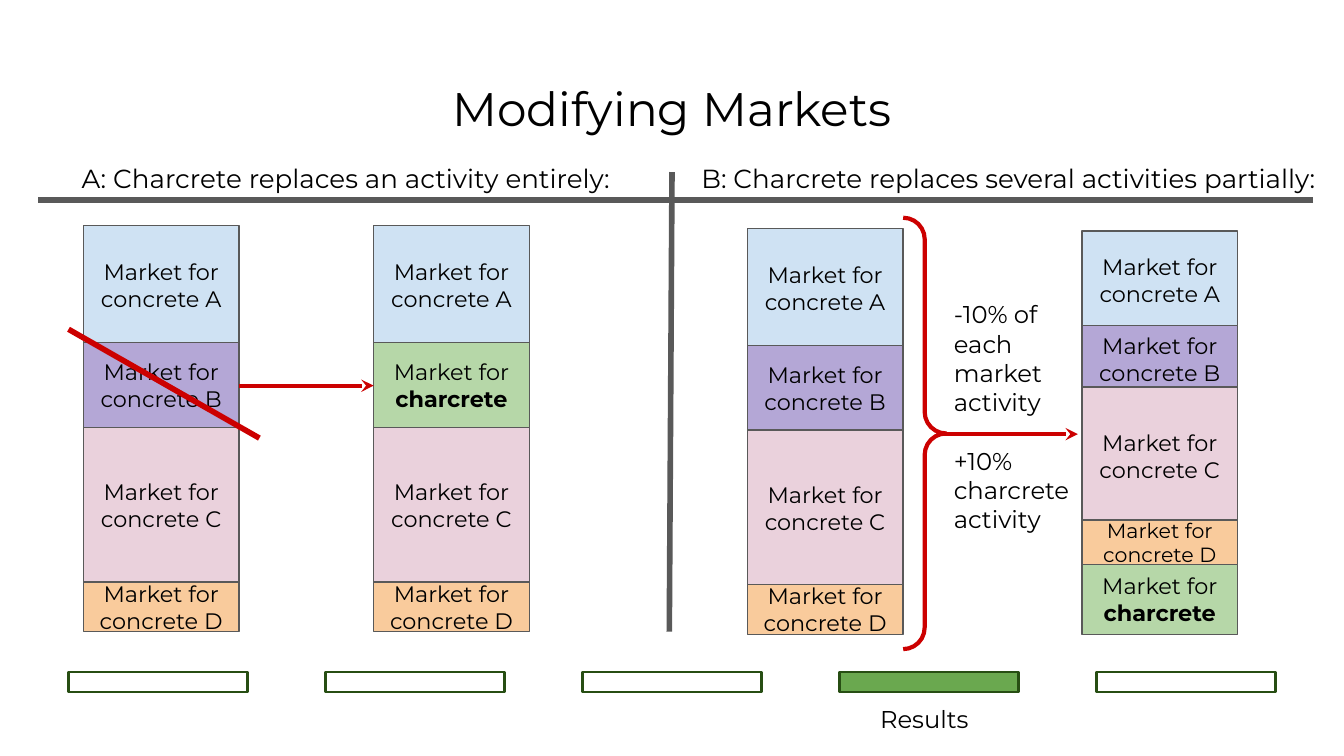
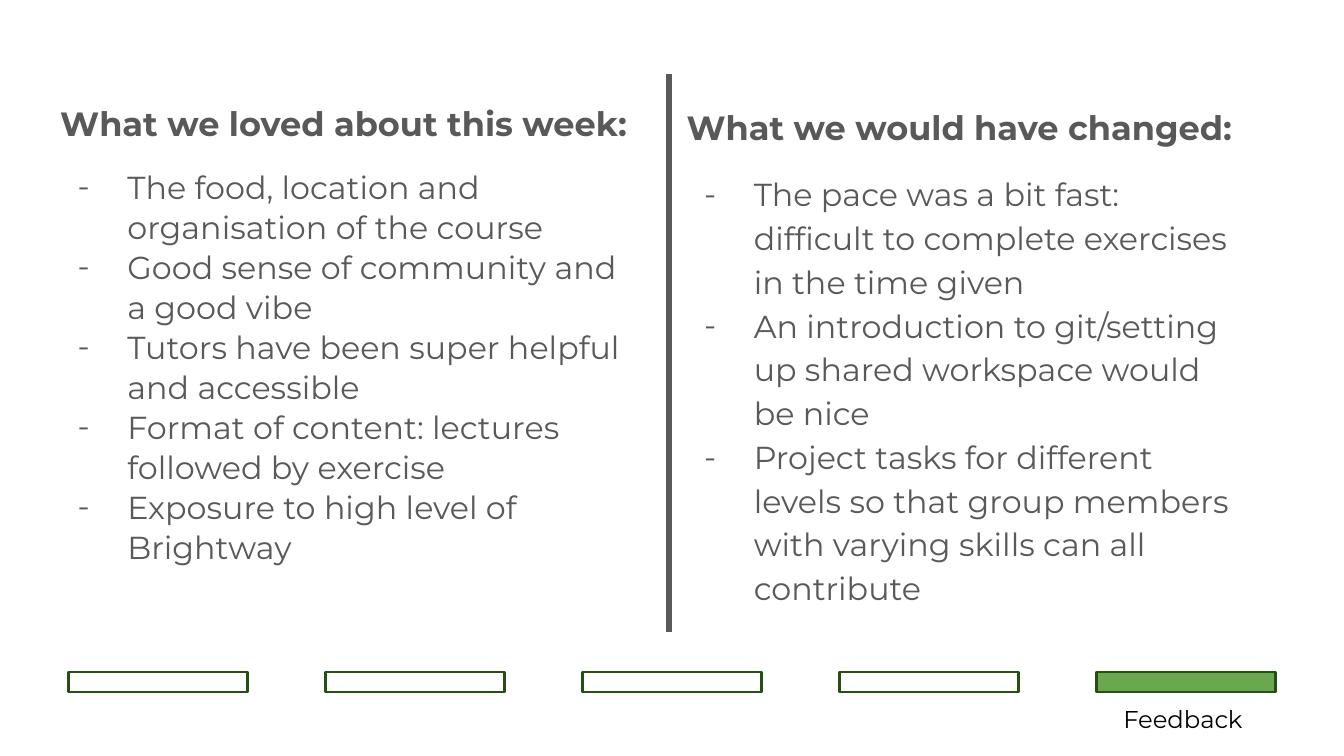
from lxml.etree import SubElement
from pptx import Presentation
from pptx.dml.color import RGBColor
from pptx.enum.shapes import MSO_CONNECTOR, MSO_SHAPE
from pptx.enum.text import MSO_ANCHOR, PP_ALIGN
from pptx.oxml.ns import qn
from pptx.util import Inches, Pt

# Shared look; the grid has 100 columns, with rows of the same size
COLS, ROWS = 100, 56.25
CELL = Inches(0.1)
C = {"text": "000000", "grey": "595959", "red": "CC0000", "white": "FFFFFF",
     "green": "6AA84F", "dark_green": "274E13"}
MARKET = {"concrete A": "CFE2F3", "concrete B": "B4A7D6", "concrete C": "EAD1DC",
          "concrete D": "F9CB9C", "*charcrete": "B6D7A8"}
FONT = "Montserrat"
INDENT, HANG = 5, 3.7
BAR_LEFT, BAR_STEP, BAR_TOP, BAR_W, BAR_H = 5.1, 19.13, 50, 13.3, 1.5


def add_box(s, at, paras=(), size=12, color="text", fill=None, line=None, width=0.75,
            shape=None, align=PP_ALIGN.LEFT, anchor=MSO_ANCHOR.TOP):
    """Add a shape or text box; text after a * is bold."""
    at = [round(v * CELL) for v in at]
    if shape is None:
        sp = s.shapes.add_textbox(*at)
    else:
        sp = s.shapes.add_shape(shape, *at)
        sp.shadow.inherit = False
        if fill:
            sp.fill.solid()
            sp.fill.fore_color.rgb = RGBColor.from_string(fill)
        else:
            sp.fill.background()
        sp.line.color.rgb = RGBColor.from_string(line)
        sp.line.width = Pt(width)
    tf = sp.text_frame
    frame = {"word_wrap": True, "vertical_anchor": anchor, "margin_left": CELL,
             "margin_right": CELL, "margin_top": CELL, "margin_bottom": CELL}
    for name, value in frame.items():
        setattr(tf, name, value)
    for i, text in enumerate(paras):
        p = tf.add_paragraph() if i else tf.paragraphs[0]
        p.alignment = align
        for j, part in enumerate(text.split("*")):
            if part:
                r = p.add_run()
                r.text = part
                for name, value in {"name": FONT, "size": Pt(size), "bold": j == 1}.items():
                    setattr(r.font, name, value)
                r.font.color.rgb = RGBColor.from_string(C[color])
    return sp


def add_line(s, ends, color="grey", width=3, arrow=False):
    ln = s.shapes.add_connector(MSO_CONNECTOR.STRAIGHT, *[round(v * CELL) for v in ends])
    ln.line.color.rgb = RGBColor.from_string(C[color])
    ln.line.width = Pt(width)
    if arrow:
        SubElement(ln.line._get_or_add_ln(), qn("a:tailEnd"), type="stealth")
    SubElement(ln._element.spPr, qn("a:effectLst"))


prs = Presentation()
prs.slide_width, prs.slide_height = COLS * CELL, round(ROWS * CELL)
markets, feedback = [prs.slides.add_slide(prs.slide_layouts[6]) for _ in range(2)]

# Progress bars and the label of the current section
for s, current, label, at in ((markets, 3, "Results", (64.5, 51.4, 9.3, 4.2)),
                              (feedback, 4, "Feedback", (82.6, 51.4, 11.2, 4.2))):
    for i in range(5):
        add_box(s, (BAR_LEFT + i * BAR_STEP, BAR_TOP, BAR_W, BAR_H),
                fill=C["green" if i == current else "white"], line=C["dark_green"],
                width=1.5, shape=MSO_SHAPE.RECTANGLE)
    add_box(s, at, [label], 13)

# Slide 1: title, headings and dividers
s = markets
add_box(s, (3.4, 4.9, 93.2, 6.3), ["Modifying Markets"], 25.2, align=PP_ALIGN.CENTER)
add_box(s, (5.1, 11.1, 43.6, 4.4), ["A: Charcrete replaces an activity entirely:"], 14)
add_box(s, (51.2, 11.1, 48, 4.4), ["B: Charcrete replaces several activities partially:"], 14)
add_line(s, (49.8, 47, 50, 12.8))
add_line(s, (97.7, 14.9, 2.8, 14.9))

# Market stacks: each layer is (market, offset from the top, height, text size)
full = [("concrete A", 0, 8.8, 12), ("concrete B", 8.7, 6.3, 12),
        ("concrete C", 15, 11.6, 12), ("concrete D", 26.5, 3.7, 12)]
replaced = [full[0], ("*charcrete", *full[1][1:]), *full[2:]]
reduced = [("concrete A", 0, 7.3, 12), ("concrete B", 7, 5, 12), ("concrete C", 11.6, 10.3, 12),
           ("concrete D", 21.5, 3.3, 11), ("*charcrete", 24.8, 5.2, 12)]
for left, top, layers in ((6.2, 16.8, full), (27.8, 16.8, replaced),
                          (55.6, 17, full), (80.5, 17.2, reduced)):
    for market, offset, height, size in layers:
        add_box(s, (left, top + offset, 11.6, height), [f"Market for {market}"], size,
                fill=MARKET[market], line=C["grey"], shape=MSO_SHAPE.RECTANGLE,
                align=PP_ALIGN.CENTER, anchor=MSO_ANCHOR.MIDDLE)

# Replacement marks
add_line(s, (17.8, 28.7, 27.8, 28.7), "red", 2.25, arrow=True)
add_line(s, (5.1, 24.5, 19.3, 32.6), "red")
sp = add_box(s, (67.2, 16.2, 3.2, 32.1), line=C["red"], width=2.25, shape=MSO_SHAPE.RIGHT_BRACE)
for i in range(2):
    sp.adjustments[i] = 0.5
sp = add_box(s, (70, 21.3, 11.6, 19.5),
             ["-10% of each market activity", "+10% charcrete activity"], 13)
sp.text_frame.paragraphs[1].space_before = Pt(15.8)
add_line(s, (70.2, 32.3, 80.2, 32.3), "red", 2.25, arrow=True)

# Slide 2: two lists with a divider
s = feedback
loved = ["The food, location and organisation of the course",
         "Good sense of community and a good vibe",
         "Tutors have been super helpful and accessible",
         "Format of content: lectures followed by exercise",
         "Exposure to high level of Brightway"]
changed = ["The pace was a bit fast: difficult to complete exercises in the time given",
           "An introduction to git/setting up shared workspace would be nice",
           "Project tasks for different levels so that group members with varying skills "
           "can all contribute"]
for left, width, spacing, head, items in (
        (3.5, 45.3, 1.05, "*What we loved about this week:", loved),
        (50.1, 43.8, 1.15, "*What we would have changed:", changed)):
    sp = add_box(s, (left, 6.5, width, 37.4), [head, *items], 17, "grey")
    for i, p in enumerate(sp.text_frame.paragraphs):
        p.line_spacing = spacing
        if i == 0:
            p.runs[0].font.size = Pt(18)
            continue
        if i == 1:
            p.space_before = Pt(12)
        pPr = p._p.get_or_add_pPr()
        pPr.set("marL", str(INDENT * CELL))
        pPr.set("indent", str(round(-HANG * CELL)))
        SubElement(SubElement(pPr, qn("a:buClr")), qn("a:srgbClr"), val=C["grey"])
        SubElement(pPr, qn("a:buFont"), typeface=FONT)
        SubElement(pPr, qn("a:buChar"), char="-")
add_line(s, (49.8, 47, 49.8, 5.5))

prs.save("out.pptx")
